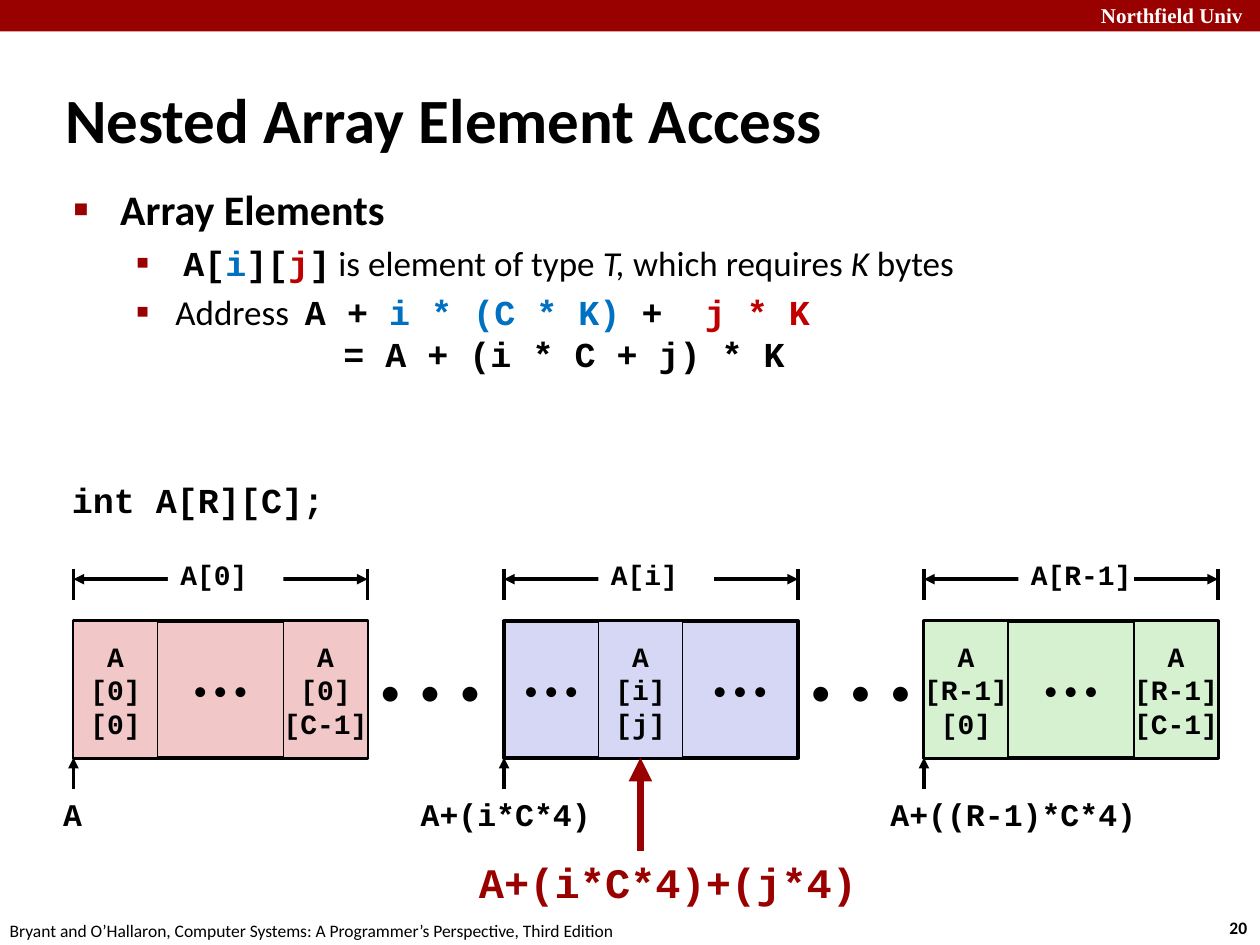
import pptx
import pptx.util
import pptx.dml.color
import pptx.enum.shapes
import pptx.enum.text
import pptx.oxml.ns
import lxml.etree

Pt = pptx.util.Pt
ALIGN = pptx.enum.text.PP_ALIGN
ANCHOR = pptx.enum.text.MSO_ANCHOR
COLORS = {
    "black": "000000", "white": "FFFFFF", "crimson": "990000",
    "blue": "0070C0", "red": "C00000",
    "first": "F1C7C7", "middle": "D6D6F5", "last": "D5F1CF",
}
SANS, MONO, SERIF = "Calibri", "Courier New", "Times New Roman"
DOTS = "•\u00a0•\u00a0•"
WIDE_DOTS = "• \u00a0•\u00a0 •"
ROW_WIDTH, ROW_HEIGHT, CELL_WIDTH, ROW_TOP = 168, 78, 48, 355


def rgb(name):
    return pptx.dml.color.RGBColor.from_string(COLORS[name])


def add_run(paragraph, text, size, font=SANS, color="black", bold=False, italic=False):
    run = paragraph.add_run()
    run.text = text
    run.font.size = Pt(size)
    run.font.name = font
    run.font.bold = bold
    run.font.italic = italic
    run.font.color.rgb = rgb(color)


def add_label(slide, box, lines, size, font=MONO, color="black", bold=True,
              align=ALIGN.LEFT, anchor=ANCHOR.TOP, inset=7.2, fill=None):
    label = slide.shapes.add_textbox(*map(Pt, box))
    if fill:
        label.fill.solid()
        label.fill.fore_color.rgb = rgb(fill)
    write_lines(label.text_frame, lines, size, font, color, bold, align, anchor, inset)


def write_lines(frame, lines, size, font, color, bold, align, anchor, inset):
    frame.word_wrap = False
    frame.vertical_anchor = anchor
    frame.margin_left = Pt(inset)
    frame.margin_right = Pt(0 if align == ALIGN.LEFT else inset)
    for index, line in enumerate(lines):
        paragraph = frame.paragraphs[0] if index == 0 else frame.add_paragraph()
        paragraph.alignment = align
        add_run(paragraph, line, size, font, color, bold)


def add_block(slide, box, fill, border=None):
    block = slide.shapes.add_shape(pptx.enum.shapes.MSO_SHAPE.RECTANGLE, *map(Pt, box))
    block.shadow.inherit = False
    block.fill.solid()
    block.fill.fore_color.rgb = rgb(fill)
    if border:
        block.line.color.rgb = rgb("black")
        block.line.width = Pt(border)
    else:
        block.line.fill.background()
    return block


def add_line(slide, start, end, width=2, color="black", ends=()):
    line = slide.shapes.add_connector(
        pptx.enum.shapes.MSO_CONNECTOR.STRAIGHT, *map(Pt, start + end))
    line.line.color.rgb = rgb(color)
    line.line.width = Pt(width)
    outline = line.line._get_or_add_ln()
    for end_name in ends:
        lxml.etree.SubElement(outline, pptx.oxml.ns.qn("a:" + end_name), type="triangle")
    lxml.etree.SubElement(line._element.spPr, pptx.oxml.ns.qn("a:effectLst"))


def add_frame(slide):
    add_block(slide, (0, 0, 720, 18), "crimson")
    add_label(slide, (622, -2, 98, 21), ["Northfield Univ"], 12, SERIF, "white")
    add_label(slide, (695.5, 520.5, 24.5, 19.5), ["20"], 10, SANS)
    add_label(slide, (-1.5, 522, 366, 18),
              ["Bryant and O’Hallaron, Computer Systems: A Programmer’s Perspective, Third Edition"],
              10, SANS, bold=False)


def place(placeholder, box, anchor):
    placeholder.left, placeholder.top, placeholder.width, placeholder.height = map(Pt, box)
    frame = placeholder.text_frame
    frame.auto_size = pptx.enum.text.MSO_AUTO_SIZE.NONE
    frame.word_wrap = True
    frame.vertical_anchor = anchor
    return frame


def add_title(slide, box):
    paragraph = place(slide.shapes.title, box, ANCHOR.MIDDLE).paragraphs[0]
    paragraph.alignment = ALIGN.LEFT
    add_run(paragraph, "Nested Array Element Access", 36, bold=True)


def format_bullet(paragraph, margin, hang, char=None, percent=100):
    properties = paragraph._p.get_or_add_pPr()
    properties.set("marL", str(Pt(margin)))
    properties.set("indent", str(-Pt(hang)))

    def add(parent, tag, **attributes):
        return lxml.etree.SubElement(parent, pptx.oxml.ns.qn("a:" + tag), **attributes)

    if char is None:
        add(properties, "buNone")
        return
    add(add(properties, "buClr"), "srgbClr", val=COLORS["crimson"])
    add(properties, "buSzPct", val=str(percent * 1000))
    add(properties, "buFont", typeface=SANS)
    add(properties, "buChar", char=char)


def add_explanation(slide, box):
    frame = place(slide.placeholders[1], box, ANCHOR.TOP)
    code = {"font": MONO, "bold": True}
    blue, red = {**code, "color": "blue"}, {**code, "color": "red"}
    italic = {"italic": True}
    sub_bullet = (58.5, 22.5, "▪", 110)
    points = [
        (0, 24, 4.8, (27, 27, "▪", 110), [("Array Elements", {"bold": True})]),
        (1, 20, 4, sub_bullet, [
            (" ", {}), ("A[", code), ("i", blue), ("][", code), ("j", red), ("]", code),
            (" is element of type ", {}), ("T, ", italic), ("which requires ", {}),
            ("K", italic), (" bytes", {})]),
        (1, 20, 4, sub_bullet, [
            ("Address  ", {}), ("A + ", code), ("i * (C * K) ", blue),
            ("+  ", code), ("j * K", red)]),
        (1, 20, 0, (154.5, 0), [("= A + (i * C + j) * K", code)]),
    ]
    for index, (level, size, before, bullet, runs) in enumerate(points):
        paragraph = frame.paragraphs[0] if index == 0 else frame.add_paragraph()
        paragraph.level = level
        paragraph.space_before = Pt(before)
        format_bullet(paragraph, *bullet)
        for text, style in runs:
            add_run(paragraph, text, size, **style)


def add_array_row(slide, box, name, fill, cells, dot_spans):
    left, top, width, height = box
    add_block(slide, box, fill, 2.25)
    for offset, span in dot_spans:
        add_label(slide, (left + offset, top, span, height), [DOTS], 16, SANS,
                  bold=False, align=ALIGN.CENTER, anchor=ANCHOR.MIDDLE, inset=0)
    for offset, indices in cells:
        cell = add_block(slide, (left + offset, top, CELL_WIDTH, height), fill, 1)
        write_lines(cell.text_frame, ["A"] + indices, 16, MONO, "black", True,
                    ALIGN.CENTER, ANCHOR.MIDDLE, 0)
    for edge in (left, left + width):
        add_line(slide, (edge, top - 30), (edge, top - 12))
    add_line(slide, (left, top - 24), (left + width, top - 24), ends=("headEnd", "tailEnd"))
    add_label(slide, (left + 54, top - 42, 66, 30), [name], 16,
              anchor=ANCHOR.MIDDLE, fill="white")


def add_pointer(slide, target, length, box, address, size=18, width=2, color="black"):
    x, y = target
    add_line(slide, (x, y + length), target, width, color, ("tailEnd",))
    add_label(slide, box, [address], size, color=color, align=ALIGN.CENTER)


def add_memory_diagram(slide, left, top):
    add_label(slide, (left - 8, top - 85, 158, 31), ["int A[R][C];"], 20)
    middle, last, bottom = left + 246, left + 486, top + ROW_HEIGHT
    for gap_left in (left + ROW_WIDTH, middle + ROW_WIDTH):
        add_label(slide, (gap_left, top, 78, ROW_HEIGHT), [WIDE_DOTS], 24, SANS,
                  bold=False, anchor=ANCHOR.MIDDLE)
    rows = [
        (left, "A[0]", "first", [(0, ["[0]", "[0]"]), (120, ["[0]", "[C-1]"])], [(48, 72)]),
        (middle, "A[i]", "middle", [(54, ["[i]", "[j]"])], [(0, 54), (102, 66)]),
        (last, "A[R-1]", "last", [(0, ["[R-1]", "[0]"]), (120, ["[R-1]", "[C-1]"])], [(48, 72)]),
    ]
    for row_left, *row in rows:
        add_array_row(slide, (row_left, top, ROW_WIDTH, ROW_HEIGHT), *row)
    for row_left, label_left, label_width, address in [
        (left, 26, 31, "A"),
        (middle, 232, 114, "A+(i*C*4)"),
        (last, 498, 162, "A+((R-1)*C*4)"),
    ]:
        add_pointer(slide, (row_left, bottom), 18,
                    (label_left, bottom + 18, label_width, 29), address)
    add_pointer(slide, (middle + 78, bottom), 53, (265.5, bottom + 53, 232.5, 36),
                "A+(i*C*4)+(j*4)", 24, 4.5, "crimson")


presentation = pptx.Presentation()
presentation.slide_width, presentation.slide_height = Pt(720), Pt(540)
access_slide = presentation.slides.add_slide(presentation.slide_layouts[1])
add_frame(access_slide)
add_title(access_slide, (30, 45, 546, 45))
add_explanation(access_slide, (34.5, 101.5, 613.5, 114.5))
add_memory_diagram(access_slide, 42, ROW_TOP)
presentation.save("out.pptx")
